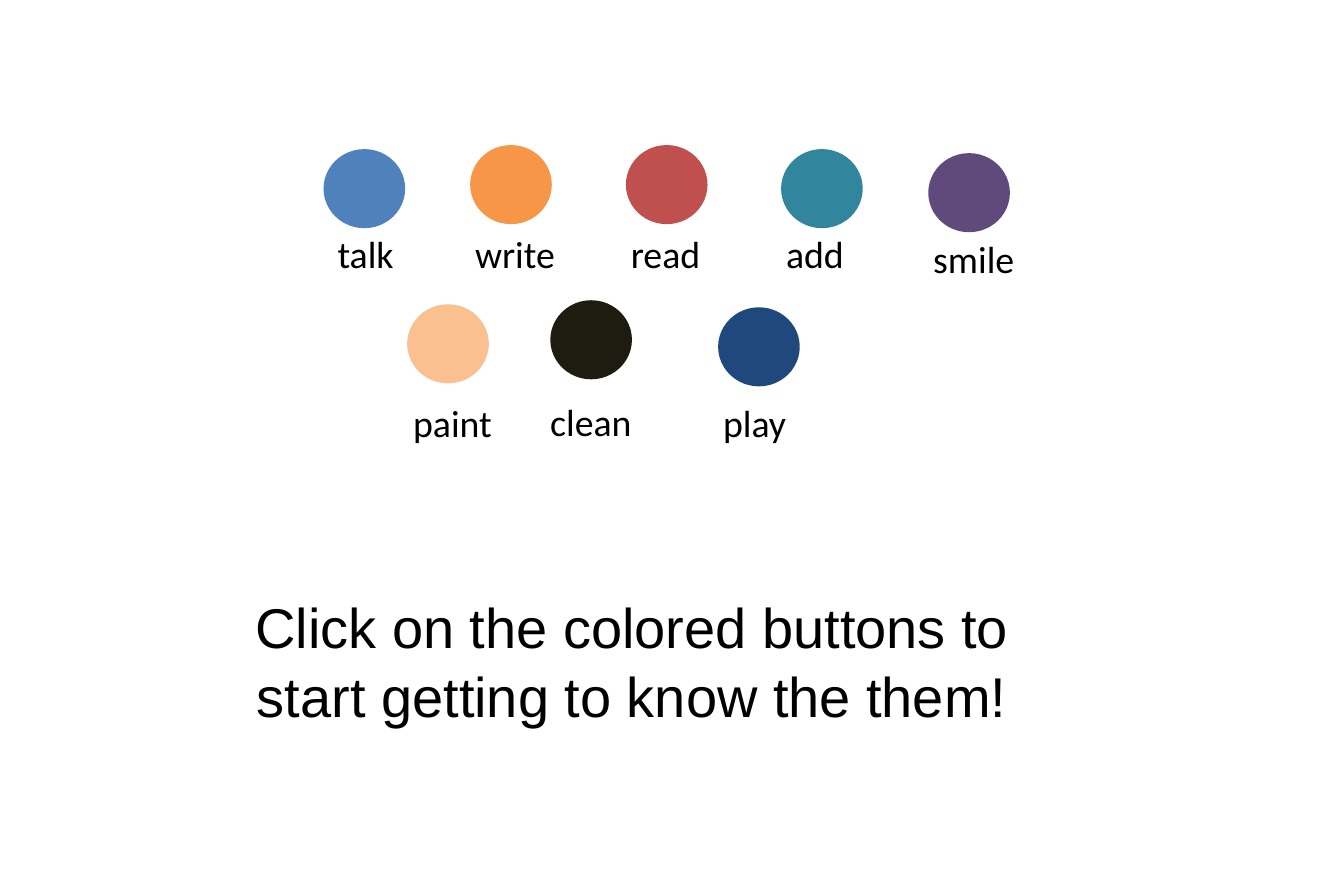
from dataclasses import dataclass

from pptx import Presentation
from pptx.dml.color import RGBColor
from pptx.enum.shapes import MSO_SHAPE as Shape
from pptx.enum.text import MSO_ANCHOR as Anchor, MSO_AUTO_SIZE as AutoSize, PP_ALIGN as Align
from pptx.slide import Slide
from pptx.text.text import TextFrame
from pptx.util import Inches, Pt

BLACK = RGBColor(0x00, 0x00, 0x00)
BLUE = RGBColor(0x4F, 0x81, 0xBD)
ORANGE = RGBColor(0xF7, 0x96, 0x46)
RED = RGBColor(0xC0, 0x50, 0x4D)
TEAL = RGBColor(0x31, 0x85, 0x9C)
PURPLE = RGBColor(0x60, 0x4A, 0x7B)
PEACH = RGBColor(0xFA, 0xC0, 0x90)
CHARCOAL = RGBColor(0x1E, 0x1C, 0x11)
NAVY = RGBColor(0x1F, 0x49, 0x7D)

BUTTON_WIDTH, BUTTON_HEIGHT = Inches(1.62), Inches(1.57)
LABEL_WIDTH, LABEL_HEIGHT = Inches(2.6), Inches(1.01)
LABEL_FONT = {"name": "Calibri", "size": Pt(54)}
TITLE_FONT = {"name": "Arial", "size": Pt(80)}


@dataclass(frozen=True)
class Button:
    word: str
    color: RGBColor
    left: float
    top: float
    label_left: float
    label_top: float


BUTTONS = [
    Button("talk", BLUE, 6.42, 2.96, 6.6, 4.54),
    Button("write", ORANGE, 9.33, 2.88, 9.33, 4.53),
    Button("read", RED, 12.42, 2.88, 12.42, 4.54),
    Button("add", TEAL, 15.5, 2.96, 15.5, 4.53),
    Button("smile", PURPLE, 18.42, 3.04, 18.42, 4.62),
    Button("paint", PEACH, 8.08, 6.04, 8.1, 7.88),
    Button("clean", CHARCOAL, 10.92, 5.96, 10.82, 7.86),
    Button("play", NAVY, 14.25, 6.1, 14.25, 7.88),
]


def write_text(frame: TextFrame, text: str, font_format: dict, align: Align) -> None:
    frame.word_wrap = True
    frame.auto_size = AutoSize.NONE
    frame.vertical_anchor = Anchor.TOP
    para = frame.paragraphs[0]
    para.alignment = align
    span = para.add_run()
    span.text = text
    for name, value in font_format.items():
        setattr(span.font, name, value)
    span.font.color.rgb = BLACK


def draw_button(page: Slide, button: Button) -> None:
    circle = page.shapes.add_shape(
        Shape.OVAL, Inches(button.left), Inches(button.top), BUTTON_WIDTH, BUTTON_HEIGHT
    )
    circle.shadow.inherit = False
    circle.fill.solid()
    circle.fill.fore_color.rgb = button.color
    circle.line.fill.background()
    label = page.shapes.add_textbox(
        Inches(button.label_left), Inches(button.label_top), LABEL_WIDTH, LABEL_HEIGHT
    )
    write_text(label.text_frame, button.word, LABEL_FONT, Align.LEFT)


def draw_title(page: Slide) -> None:
    title = page.shapes.title
    place = {"left": 4, "top": 11.62, "width": 17.09, "height": 5.4}
    for name, value in place.items():
        setattr(title, name, Inches(value))
    frame = title.text_frame
    frame.margin_top = Inches(0.08)
    write_text(
        frame,
        "Click on the colored buttons to start getting to know the them!",
        TITLE_FONT,
        Align.CENTER,
    )
    frame.paragraphs[0].line_spacing = 1.04


def main() -> None:
    deck = Presentation()
    deck.slide_width, deck.slide_height = Inches(26.67), Inches(17.25)
    page = deck.slides.add_slide(deck.slide_layouts[5])
    draw_title(page)
    for button in BUTTONS:
        draw_button(page, button)
    deck.save("out.pptx")


if __name__ == "__main__":
    main()
